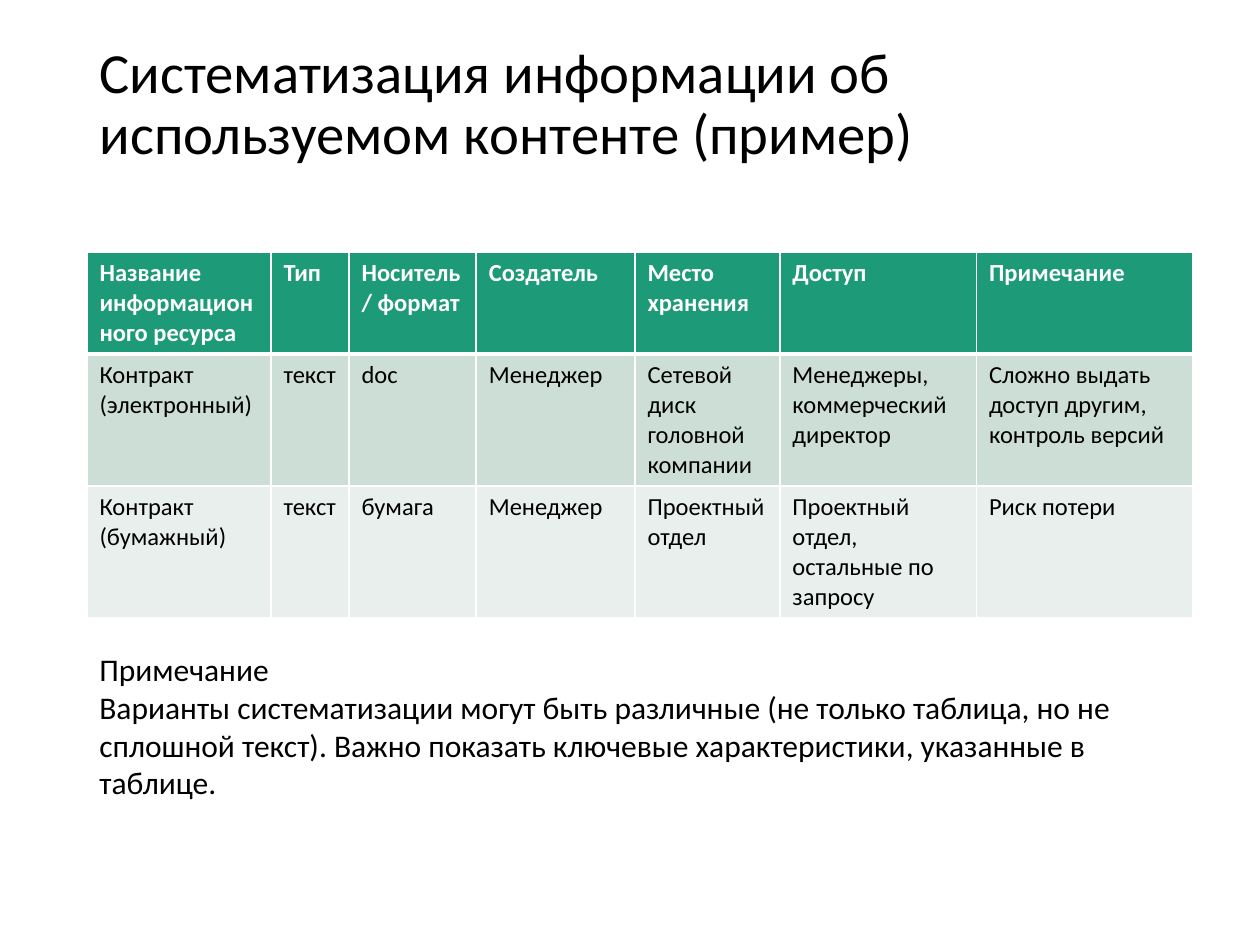
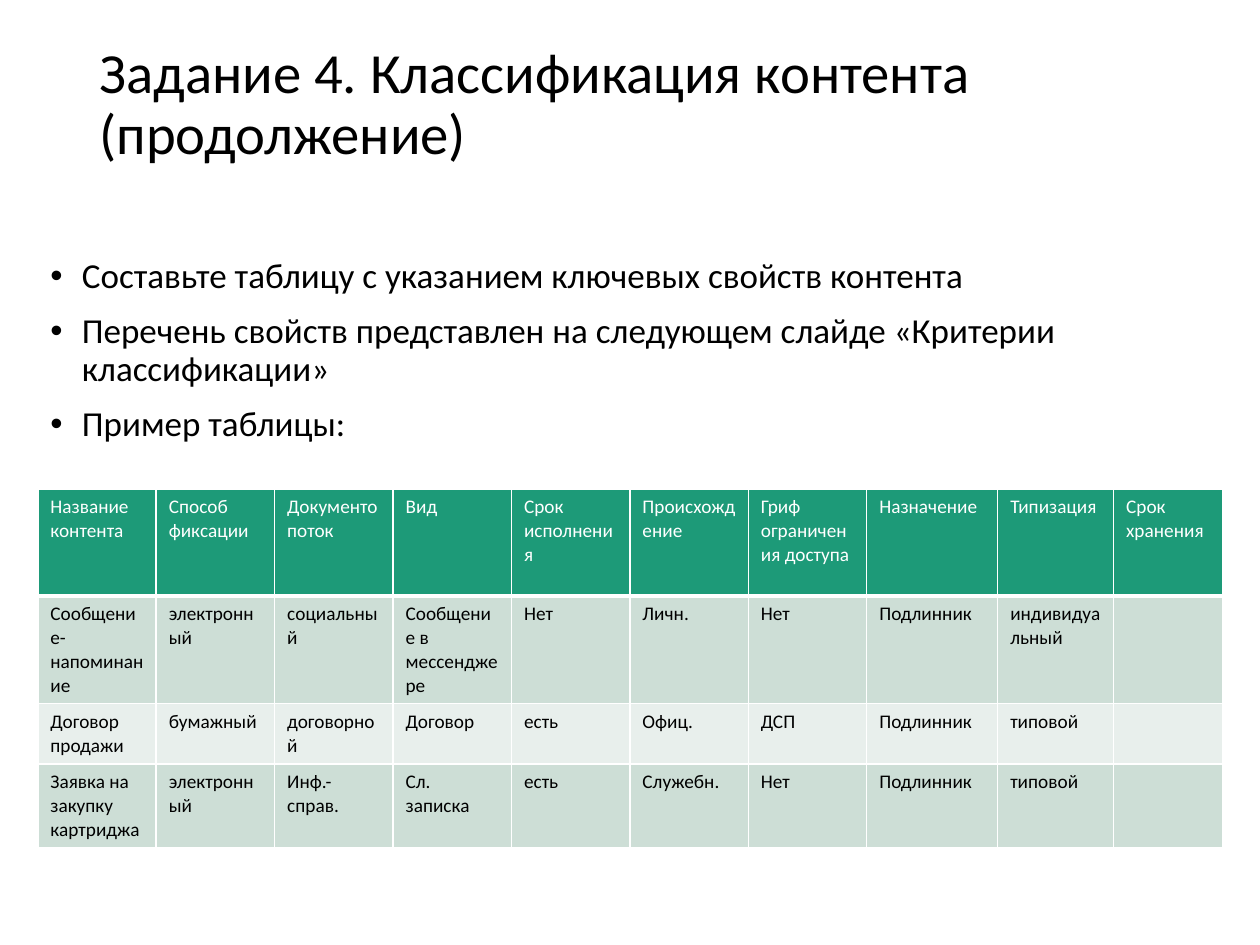
from pptx import Presentation
from pptx.dml.color import RGBColor
from pptx.enum.text import MSO_ANCHOR as Anchor, MSO_AUTO_SIZE as AutoSize, PP_ALIGN as Align
from pptx.oxml.ns import qn
from pptx.util import Inches, Pt
from lxml.etree import SubElement

FONT = "Calibri"
BLACK = RGBColor(0x00, 0x00, 0x00)
WHITE = RGBColor(0xFF, 0xFF, 0xFF)
GREEN = RGBColor(0x1D, 0x9A, 0x78)
BANDS = (RGBColor(0xCD, 0xDE, 0xD6), RGBColor(0xE8, 0xEF, 0xEC))
TITLE_ONLY, TITLE_AND_BODY = 5, 1

RESOURCES = [
    ["Название информационного ресурса", "Тип", "Носитель / формат", "Создатель",
     "Место хранения", "Доступ", "Примечание"],
    ["Контракт (электронный)", "текст", "doc", "Менеджер", "Сетевой диск головной компании",
     "Менеджеры, коммерческий директор", "Сложно выдать доступ другим, контроль версий"],
    ["Контракт (бумажный)", "текст", "бумага", "Менеджер", "Проектный отдел",
     "Проектный отдел, остальные по запросу", "Риск потери"],
]
NOTE = [
    "Примечание",
    "Варианты систематизации могут быть различные (не только таблица, но не сплошной текст). "
    "Важно показать ключевые характеристики, указанные в таблице.",
]
STEPS = [
    "Составьте таблицу с указанием ключевых свойств контента",
    "Перечень свойств представлен на следующем слайде «Критерии классификации»",
    "Пример таблицы:",
]
CONTENT = [
    ["Название контента", "Способ фиксации", "Документопоток", "Вид", "Срок исполнения",
     "Происхождение", "Гриф ограничения доступа", "Назначение", "Типизация", "Срок хранения"],
    ["Сообщение-напоминание", "электронный", "социальный", "Сообщение в мессенджере", "Нет",
     "Личн.", "Нет", "Подлинник", "индивидуальный", ""],
    ["Договор продажи", "бумажный", "договорной", "Договор", "есть",
     "Офиц.", "ДСП", "Подлинник", "типовой", ""],
    ["Заявка на закупку картриджа", "электронный", "Инф.-справ.", "Сл. записка", "есть",
     "Служебн.", "Нет", "Подлинник", "типовой", ""],
]


class DeckBuilder:
    """Holds the deck style and the current slide, and adds elements to it."""

    def __init__(self):
        self.deck = Presentation()
        self.deck.slide_width, self.deck.slide_height = Inches(10), Inches(7.5)
        self.slide = None

    def place(self, shape, left, top, width, height):
        shape.left, shape.top = Inches(left), Inches(top)
        shape.width, shape.height = Inches(width), Inches(height)

    def style(self, para, size, color=BLACK, bold=False):
        para.alignment = Align.LEFT
        para.font.name, para.font.size = FONT, Pt(size)
        para.font.color.rgb, para.font.bold = color, bold

    def add_slide(self, layout, title):
        self.slide = self.deck.slides.add_slide(self.deck.slide_layouts[layout])
        box = self.slide.shapes.title
        self.place(box, 0.69, 0.4, 8.62, 0.88)
        frame = box.text_frame
        frame.text = title
        frame.auto_size = AutoSize.NONE
        frame.vertical_anchor = Anchor.MIDDLE
        frame.paragraphs[0].line_spacing = 0.9
        self.style(frame.paragraphs[0], 32.4)

    def add_bullets(self, lines, *area):
        box = self.slide.placeholders[1]
        self.place(box, *area)
        frame = box.text_frame
        frame.text = "\n".join(lines)
        frame.auto_size = AutoSize.NONE
        for para in frame.paragraphs:
            self.style(para, 20)
            para.line_spacing, para.space_before = 0.9, Pt(10)
            properties = para._p.get_or_add_pPr()
            properties.set("marL", str(Inches(0.25)))
            properties.set("indent", str(-Inches(0.25)))

    def add_note(self, lines, *area):
        box = self.slide.shapes.add_textbox(*map(Inches, area))
        frame = box.text_frame
        frame.text = "\n".join(lines)
        frame.word_wrap = True
        frame.auto_size = AutoSize.SHAPE_TO_FIT_TEXT
        for para in frame.paragraphs:
            self.style(para, 18)

    def add_borders(self, cell, top, bottom):
        properties = cell._tc.get_or_add_tcPr()
        for side, width in (("L", 1), ("R", 1), ("T", top), ("B", bottom)):
            line = SubElement(properties, qn(f"a:ln{side}"), w=str(Pt(width)))
            fill = SubElement(line, qn("a:solidFill"))
            SubElement(fill, qn("a:srgbClr"), val=str(WHITE))

    def add_table(self, rows, left, top, widths, heights, size, bold_header):
        frame = self.slide.shapes.add_table(
            len(rows), len(widths), Inches(left), Inches(top),
            Inches(sum(widths)), Inches(sum(heights)))
        table = frame.table
        table.horz_banding = False
        for column, width in zip(table.columns, widths):
            column.width = Inches(width)
        for index, (row, height, texts) in enumerate(zip(table.rows, heights, rows)):
            row.height = Inches(height)
            header = index == 0
            for cell, text in zip(row.cells, texts):
                cell.text = text
                self.style(cell.text_frame.paragraphs[0], size,
                           WHITE if header else BLACK, header and bold_header)
                self.add_borders(cell, 3 if index == 1 else 1, 3 if header else 1)
                cell.fill.solid()
                cell.fill.fore_color.rgb = GREEN if header else BANDS[(index - 1) % 2]


def main():
    builder = DeckBuilder()

    builder.add_slide(TITLE_ONLY, "Систематизация информации об используемом контенте (пример)")
    builder.add_table(RESOURCES, 0.69, 2, [1.46, 0.62, 1.01, 1.26, 1.15, 1.56, 1.72],
                      [0.81, 1.04, 1.04], 14, True)
    builder.add_note(NOTE, 0.69, 5.11, 8.78, 1.31)

    builder.add_slide(TITLE_AND_BODY, "Задание 4. Классификация контента (продолжение)")
    builder.add_bullets(STEPS, 0.3, 2, 9.41, 1.63)
    builder.add_table(CONTENT, 0.3, 3.88, [0.94] * 7 + [1.04, 0.92, 0.87],
                      [0.85, 0.85, 0.48, 0.66], 11, False)

    builder.deck.save("out.pptx")


if __name__ == "__main__":
    main()
